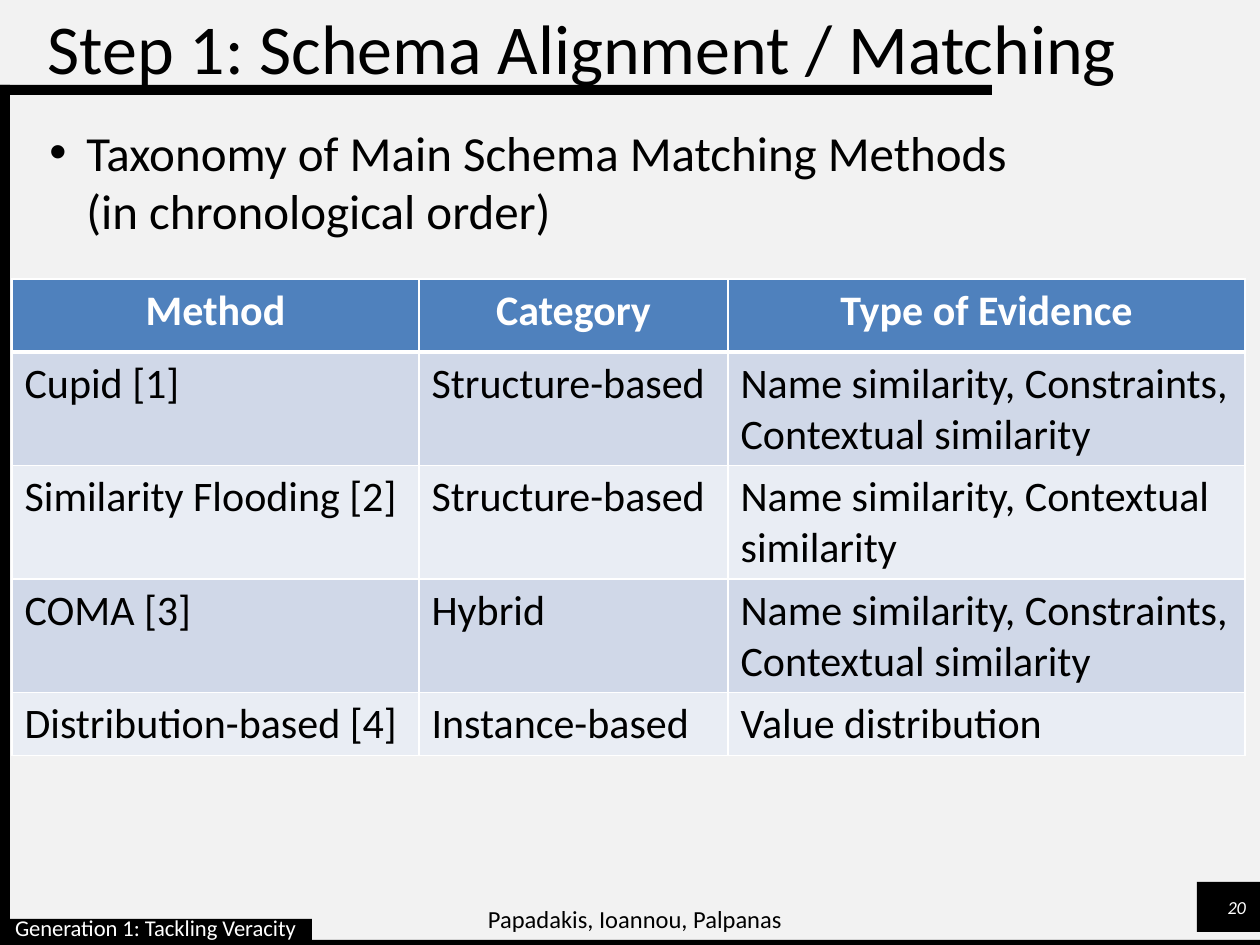
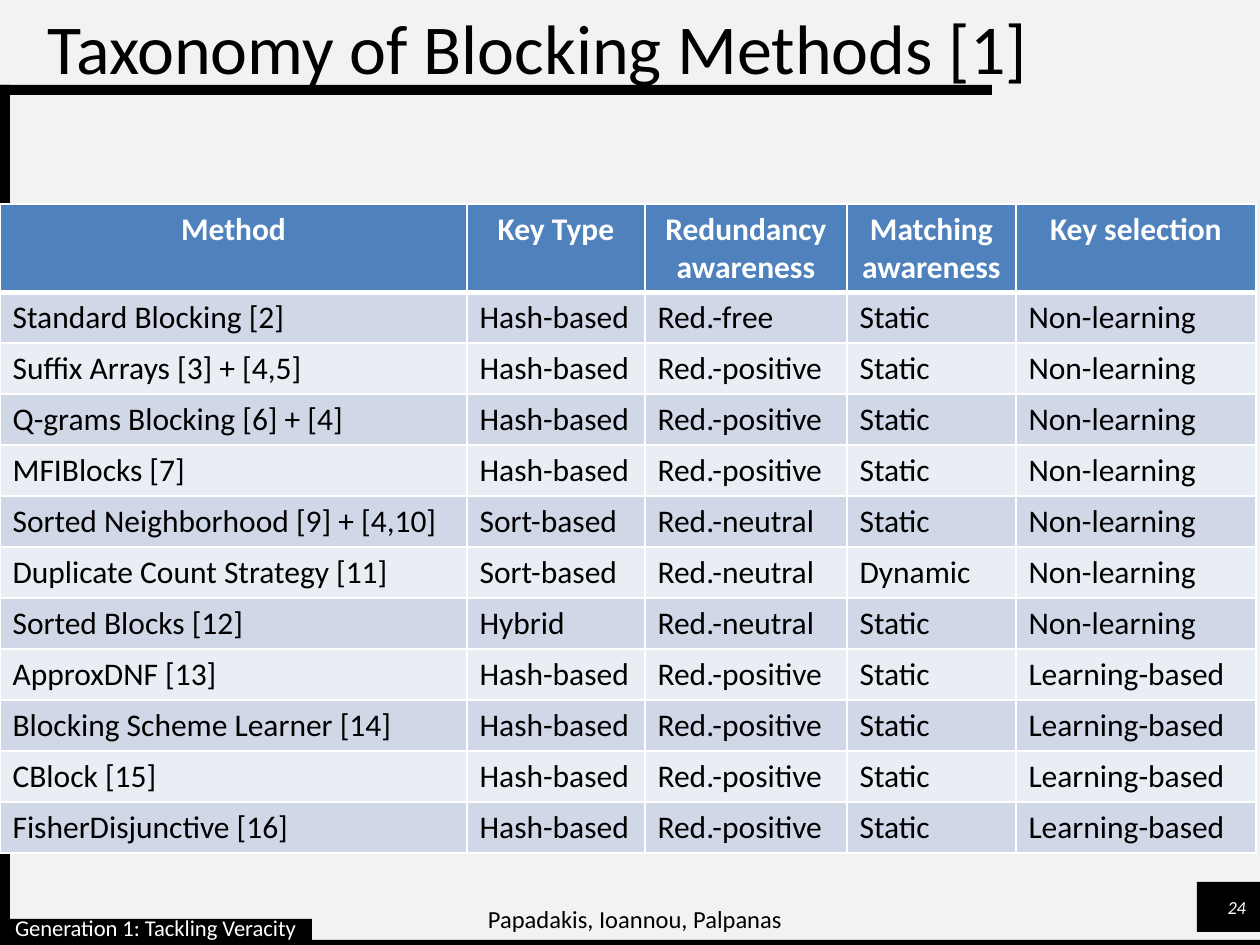
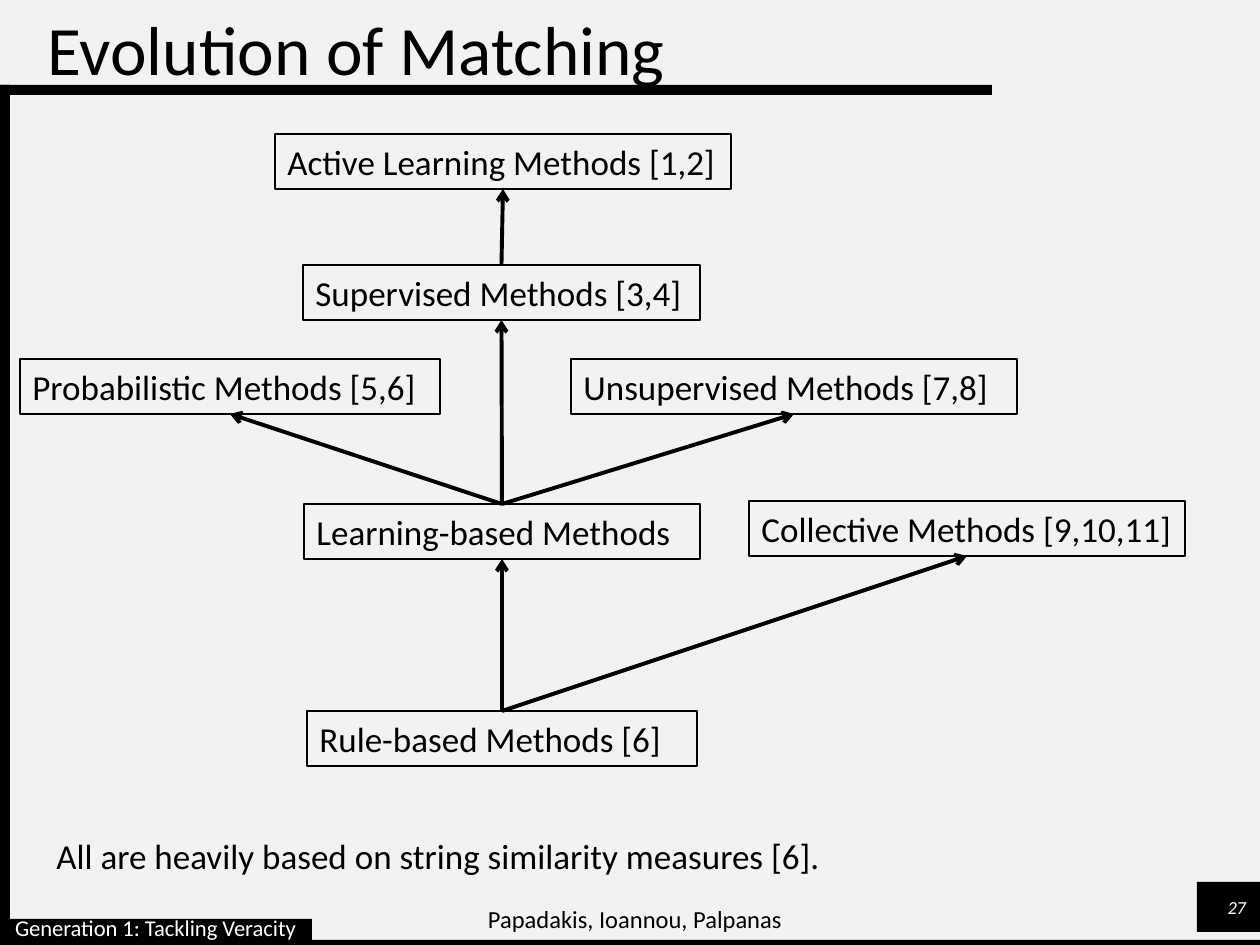
from lxml import etree
from pptx import Presentation, util as u
from pptx.dml.color import RGBColor
from pptx.enum import shapes, text as t
from pptx.oxml.ns import qn

EMU_PER_PX = 914400 / 126
FONT = "Calibri"
BLACK, WHITE, PAPER = "000000", "FFFFFF", "F2F2F2"
HEADER, BANDS = "4F81BD", ("D0D8E8", "E9EDF4")
LEFT, CENTER, RIGHT = t.PP_ALIGN.LEFT, t.PP_ALIGN.CENTER, t.PP_ALIGN.RIGHT
TOP, MIDDLE = t.MSO_ANCHOR.TOP, t.MSO_ANCHOR.MIDDLE
BOX_TOP, BOX_BOTTOM = 0, 2  # connection sites of a rectangle

MATCHING_METHODS = [
    ("Method", "Category", "Type of Evidence"),
    ("Cupid [1]", "Structure-based", "Name similarity, Constraints, Contextual similarity"),
    ("Similarity Flooding [2]", "Structure-based", "Name similarity, Contextual similarity"),
    ("COMA [3]", "Hybrid", "Name similarity, Constraints, Contextual similarity"),
    ("Distribution-based [4]", "Instance-based", "Value distribution"),
]
BLOCKING_METHODS = [
    ("Method", "Key Type", "Redundancy awareness", "Matching awareness", "Key selection"),
    ("Standard Blocking [2]", "Hash-based", "Red.-free", "Static", "Non-learning"),
    ("Suffix Arrays [3] + [4,5]", "Hash-based", "Red.-positive", "Static", "Non-learning"),
    ("Q-grams Blocking [6] + [4]", "Hash-based", "Red.-positive", "Static", "Non-learning"),
    ("MFIBlocks [7]", "Hash-based", "Red.-positive", "Static", "Non-learning"),
    ("Sorted Neighborhood [9] + [4,10]", "Sort-based", "Red.-neutral", "Static", "Non-learning"),
    ("Duplicate Count Strategy [11]", "Sort-based", "Red.-neutral", "Dynamic", "Non-learning"),
    ("Sorted Blocks [12]", "Hybrid", "Red.-neutral", "Static", "Non-learning"),
    ("ApproxDNF [13]", "Hash-based", "Red.-positive", "Static", "Learning-based"),
    ("Blocking Scheme Learner [14]", "Hash-based", "Red.-positive", "Static", "Learning-based"),
    ("CBlock [15]", "Hash-based", "Red.-positive", "Static", "Learning-based"),
    ("FisherDisjunctive [16]", "Hash-based", "Red.-positive", "Static", "Learning-based"),
]
# name: (label, left, top, width), relative to the diagram's box
EVOLUTION_BOXES = {
    "active": ("Active Learning Methods [1,2]", 255, 0, 456),
    "supervised": ("Supervised Methods [3,4]", 283, 131, 397),
    "probabilistic": ("Probabilistic Methods [5,6]", 0, 225, 420),
    "unsupervised": ("Unsupervised Methods [7,8]", 551, 225, 446),
    "learning": ("Learning-based Methods", 284, 370, 396),
    "collective": ("Collective Methods [9,10,11]", 729, 367, 436),
    "rule": ("Rule-based Methods [6]", 287, 577, 390),
}
EVOLUTION_ARROWS = [
    ("rule", "learning"), ("rule", "collective"), ("learning", "probabilistic"),
    ("learning", "supervised"), ("learning", "unsupervised"), ("supervised", "active"),
]


def px(length):
    return u.Emu(round(length * EMU_PER_PX))


def color(hex_string):
    return RGBColor.from_string(hex_string)


def write(frame, content, size=20, fill=BLACK, bold=False, italic=False, align=LEFT,
          anchor=TOP, insets=None, before=0, line_spacing=None):
    frame.word_wrap = True
    frame.vertical_anchor = anchor
    if insets:
        (frame.margin_left, frame.margin_top,
         frame.margin_right, frame.margin_bottom) = map(px, insets)
    paragraph = frame.paragraphs[0]
    paragraph.text = content
    paragraph.alignment = align
    paragraph.space_before = u.Pt(before)
    if line_spacing:
        paragraph.line_spacing = line_spacing
    for run in paragraph.runs:
        run.font.size, run.font.name = u.Pt(size), FONT
        run.font.bold, run.font.italic = bold, italic
        run.font.color.rgb = color(fill)
    return paragraph


def add_text(slide, box, content, **style):
    frame = slide.shapes.add_textbox(*map(px, box)).text_frame
    return write(frame, content, **style)


def add_box(slide, box, fill=None, line=None):
    shape = slide.shapes.add_shape(shapes.MSO_SHAPE.RECTANGLE, *map(px, box))
    shape.shadow.inherit = False
    if fill:
        shape.fill.solid()
        shape.fill.fore_color.rgb = color(fill)
    else:
        shape.fill.background()
    if line:
        shape.line.color.rgb = color(line)
        shape.line.width = u.Pt(1.5)
    else:
        shape.line.fill.background()
    return shape


def add_arrow(slide, source, target):
    arrow = slide.shapes.add_connector(shapes.MSO_CONNECTOR.STRAIGHT, 0, 0, 0, 0)
    arrow.begin_connect(source, BOX_TOP)
    arrow.end_connect(target, BOX_BOTTOM)
    arrow.line.color.rgb = color(BLACK)
    arrow.line.width = u.Pt(2.25)
    etree.SubElement(arrow.line._get_or_add_ln(), qn("a:tailEnd"), type="arrow")
    etree.SubElement(arrow._element.spPr, qn("a:effectLst"))


def add_footer(slide, number):
    add_box(slide, (1197, 882, 63, 50), fill=BLACK)
    add_text(slide, (1197, 888, 49, 38), number, size=10.5, fill=WHITE, italic=True,
             align=RIGHT, anchor=MIDDLE, insets=(0, 0, 0, 0))
    add_text(slide, (412, 898, 446, 50), "Papadakis, Ioannou, Palpanas", size=14, align=CENTER)
    section = add_box(slide, (5, 919, 307, 28), fill=BLACK)
    write(section.text_frame, "Generation 1: Tackling Veracity", size=12.9, fill=WHITE,
          align=t.PP_ALIGN.JUSTIFY, anchor=MIDDLE, insets=(10, 0, 5, 5),
          before=2.6, line_spacing=0.8)


def add_slide(presentation, title, number, title_box, title_size=40):
    slide = presentation.slides.add_slide(presentation.slide_layouts.get_by_name("Title Only"))
    slide.background.fill.solid()
    slide.background.fill.fore_color.rgb = color(PAPER)
    heading = slide.shapes.title
    heading.left, heading.top, heading.width, heading.height = map(px, title_box)
    heading.text_frame.auto_size = t.MSO_AUTO_SIZE.NONE
    write(heading.text_frame, title, size=title_size, anchor=MIDDLE)
    for bar in ((0, 940, 1260, 10), (0, 85, 992, 10), (0, 85, 10, 860)):
        add_box(slide, bar, fill=BLACK)
    add_footer(slide, number)
    return slide


def set_border(cell, side, width):
    line = etree.SubElement(cell._tc.get_or_add_tcPr(), qn(f"a:ln{side}"), w=str(u.Pt(width)))
    solid = etree.SubElement(line, qn("a:solidFill"))
    etree.SubElement(solid, qn("a:srgbClr"), val=WHITE)


def add_grid(slide, left, top, widths, heights, rows, size):
    """Add a table with a header row and two alternating row colours."""
    table = slide.shapes.add_table(len(rows), len(widths), px(left), px(top),
                                   px(sum(widths)), px(sum(heights))).table
    table.horz_banding = False
    for column, width in zip(table.columns, widths):
        column.width = px(width)
    for r, (row, height) in enumerate(zip(rows, heights)):
        table.rows[r].height = px(height)
        is_header = r == 0
        for c, content in enumerate(row):
            cell = table.cell(r, c)
            for side in "LRTB":
                beside_header_rule = (r, side) in ((0, "B"), (1, "T"))
                set_border(cell, side, 3 if beside_header_rule else 1)
            cell.fill.solid()
            cell.fill.fore_color.rgb = color(HEADER if is_header else BANDS[(r - 1) % 2])
            write(cell.text_frame, content, size=size, bold=is_header,
                  fill=WHITE if is_header else BLACK, align=CENTER if is_header else LEFT)


def add_bullet(slide, box, content):
    paragraph = add_text(slide, box, content, size=28, before=5.6)
    properties = paragraph._p.get_or_add_pPr()
    properties.set("marL", str(px(49)))
    properties.set("indent", str(px(-37)))
    etree.SubElement(properties, qn("a:buFont"), typeface="Arial")
    etree.SubElement(properties, qn("a:buChar"), char="•")


def add_evolution(slide, left, top):
    boxes = {}
    for name, (label, x, y, width) in EVOLUTION_BOXES.items():
        boxes[name] = add_box(slide, (left + x, top + y, width, 55), line=BLACK)
        write(boxes[name].text_frame, label)
    for source, target in EVOLUTION_ARROWS:
        add_arrow(slide, boxes[source], boxes[target])


def main():
    presentation = Presentation()
    presentation.slide_width, presentation.slide_height = px(1260), px(945)

    slide = add_slide(presentation, "Step 1: Schema Alignment / Matching", "20",
                      (35, 0, 1225, 92))
    add_bullet(slide, (25, 116, 1221, 804),
               "Taxonomy of Main Schema Matching Methods\n(in chronological order)")
    add_grid(slide, 12, 279, (407, 309, 517), (73, 113, 113, 113, 62), MATCHING_METHODS, size=24)

    slide = add_slide(presentation, "Taxonomy of Blocking Methods [1]", "24", (35, 0, 1062, 92))
    add_grid(slide, 0, 204, (467, 178, 202, 169, 240), [88] + [51] * 11,
             BLOCKING_METHODS, size=18)

    slide = add_slide(presentation, "Evolution of Matching", "27", (35, 0, 1173, 96), 39.6)
    add_evolution(slide, 20, 134)
    add_text(slide, (44, 828, 858, 55), "All are heavily based on string similarity measures [6].")

    presentation.save("out.pptx")


if __name__ == "__main__":
    main()
